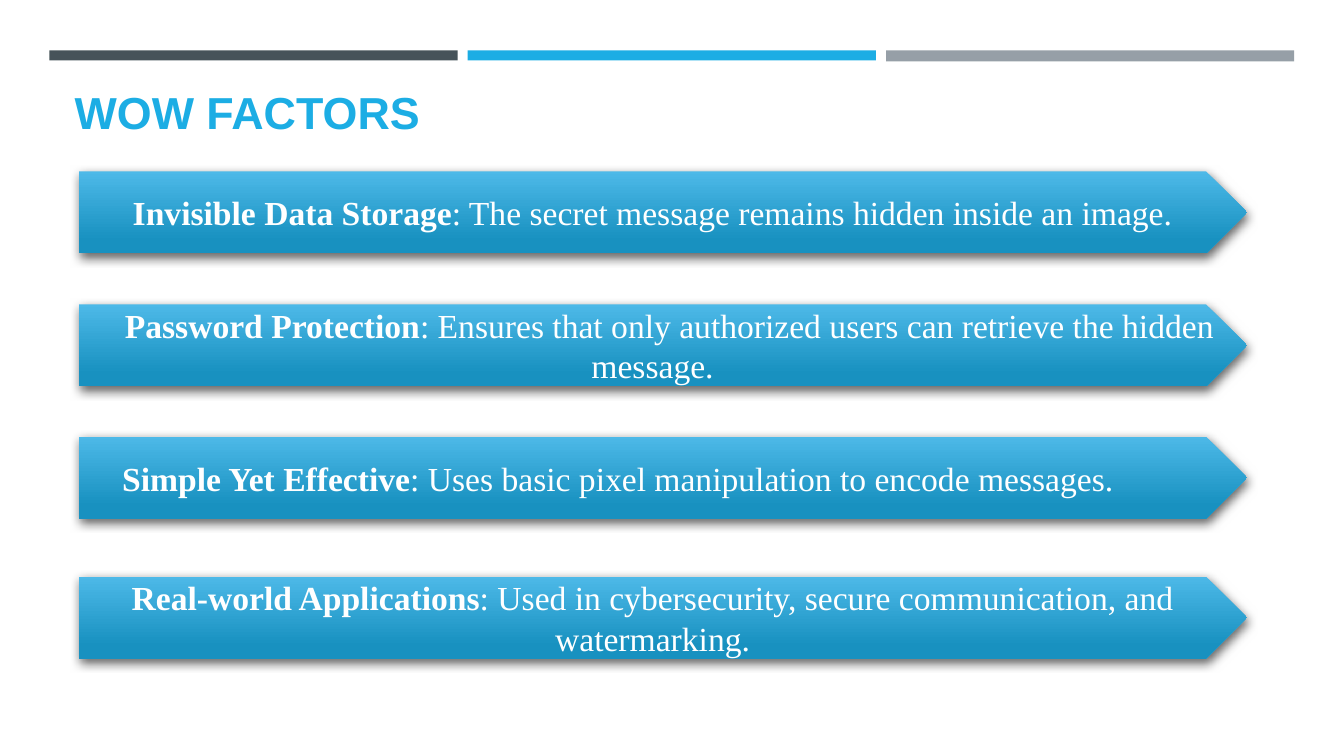
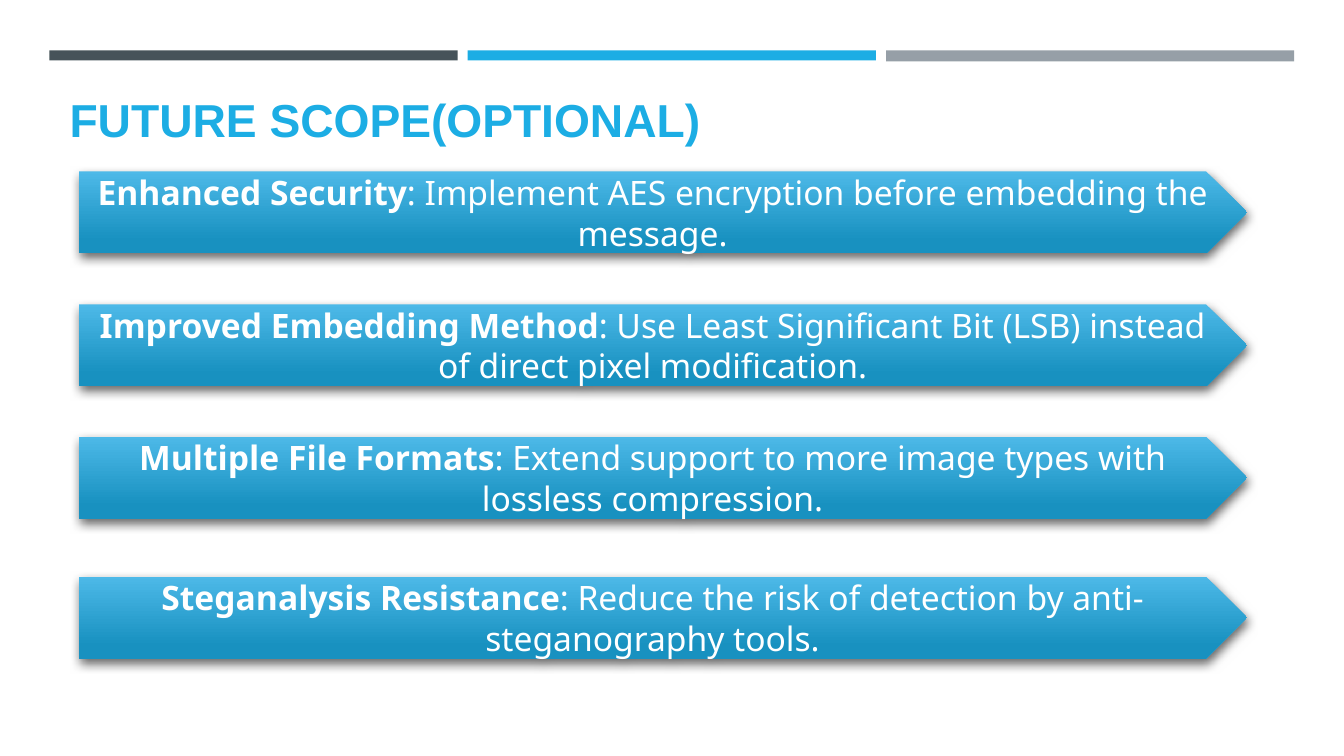
from lxml.etree import SubElement
from pptx import Presentation
from pptx.dml.color import RGBColor as RGB
from pptx.enum.shapes import MSO_SHAPE as SHAPE
from pptx.enum.text import MSO_ANCHOR as ANCHOR, MSO_AUTO_SIZE as AUTO, PP_ALIGN as ALIGN
from pptx.oxml.ns import qn
from pptx.util import Pt

COLORS = {
    "slate": "465359",
    "accent": "1CADE4",
    "grey": "969FA7",
    "arrow_top": "4DB9E8",
    "arrow_bottom": "1891C0",
    "white": "FFFFFF",
    "shadow": "000000",
}
BANDS = [("slate", 7.2), ("accent", 7.2), ("grey", 7.9)]
ARROW_TOPS = [122.4, 217.4, 311.8, 411.8]

SLIDES = [
    {
        "title": "WOW FACTORS", "at": (46.1, 60.5), "size": 32, "spacing": 1.0,
        "font": "Times New Roman",
        "arrows": [
            ("Invisible Data Storage", ": The secret message remains hidden inside an image.", {}),
            ("Password Protection",
             ": Ensures that only authorized users can retrieve the hidden message.",
             {"indent": 24}),
            ("Simple Yet Effective", ": Uses basic pixel manipulation to encode messages.",
             {"indent": 24, "align": ALIGN.JUSTIFY}),
            ("Real-world Applications",
             ": Used in cybersecurity, secure communication, and watermarking.", {}),
        ],
    },
    {
        "title": "FUTURE SCOPE(OPTIONAL)", "at": (42.5, 66.2), "size": 33, "spacing": 0.8,
        "font": "Noto Sans",
        "arrows": [
            ("Enhanced Security", ": Implement AES encryption before embedding the message.", {}),
            ("Improved Embedding Method",
             ": Use Least Significant Bit (LSB) instead of direct pixel modification.", {}),
            ("Multiple File Formats",
             ": Extend support to more image types with lossless compression.", {}),
            ("Steganalysis Resistance",
             ": Reduce the risk of detection by anti-steganography tools.", {}),
        ],
    },
]


def write(tf, bold, plain="", font="Arial", size=24, color="white", align=ALIGN.CENTER,
          anchor=ANCHOR.MIDDLE, spacing=1.0, indent=0):
    tf.word_wrap = True
    tf.auto_size = AUTO.NONE
    tf.vertical_anchor = anchor
    p = tf.paragraphs[0]
    p.alignment = align
    p.line_spacing = spacing
    if indent:
        p._p.get_or_add_pPr().set("indent", str(Pt(indent)))
    for text, is_bold in ((bold, True), (plain, False)):
        if text:
            r = p.add_run()
            r.text = text
            r.font.name = font
            r.font.size = Pt(size)
            r.font.bold = is_bold
            r.font.color.rgb = RGB.from_string(COLORS[color])


def add_shape(s, kind, x, y, w, h):
    sp = s.shapes.add_shape(kind, Pt(x), Pt(y), Pt(w), Pt(h))
    sp.line.fill.background()
    sp.shadow.inherit = False
    return sp


prs = Presentation()
prs.slide_width, prs.slide_height = Pt(960), Pt(540)
layout = prs.slide_layouts[5]
for ph in list(layout.placeholders)[1:]:
    ph.element.getparent().remove(ph.element)

for n, content in enumerate(SLIDES):
    s = prs.slides.add_slide(layout)
    if n == 0:
        for i, (color, height) in enumerate(BANDS):
            band = add_shape(s, SHAPE.RECTANGLE, 35.3 + i * 298.8, 36, 291.6, height)
            band.fill.solid()
            band.fill.fore_color.rgb = RGB.from_string(COLORS[color])
            band.element.nvSpPr.cNvPr.set("id", str(10 + i))
            layout.shapes.element.append(band.element)

    title = s.shapes.title
    title.left, title.top = (Pt(v) for v in content["at"])
    title.width, title.height = Pt(868.3), Pt(41.8)
    write(title.text_frame, content["title"], size=content["size"], color="accent",
          align=ALIGN.LEFT, anchor=ANCHOR.BOTTOM, spacing=content["spacing"])

    for top, (bold, plain, options) in zip(ARROW_TOPS, content["arrows"]):
        arrow = add_shape(s, SHAPE.PENTAGON, 56.2, top, 834.5, 58.6)
        arrow.fill.gradient()
        arrow.fill.gradient_angle = 270
        stops = zip(arrow.fill.gradient_stops, ("arrow_top", "arrow_bottom"), (0, 0.84))
        for stop, color, position in stops:
            stop.color.rgb = RGB.from_string(COLORS[color])
            stop.position = position
        effects = arrow.element.spPr.find(qn("a:effectLst"))
        shadow = SubElement(effects, qn("a:outerShdw"), blurRad=str(Pt(7)), dist=str(Pt(3)),
                            dir=str(84 * 60000), rotWithShape="0")
        tone = SubElement(shadow, qn("a:srgbClr"), val=COLORS["shadow"])
        SubElement(tone, qn("a:alpha"), val="60000")
        write(arrow.text_frame, bold, plain, font=content["font"], **options)

prs.save("out.pptx")
